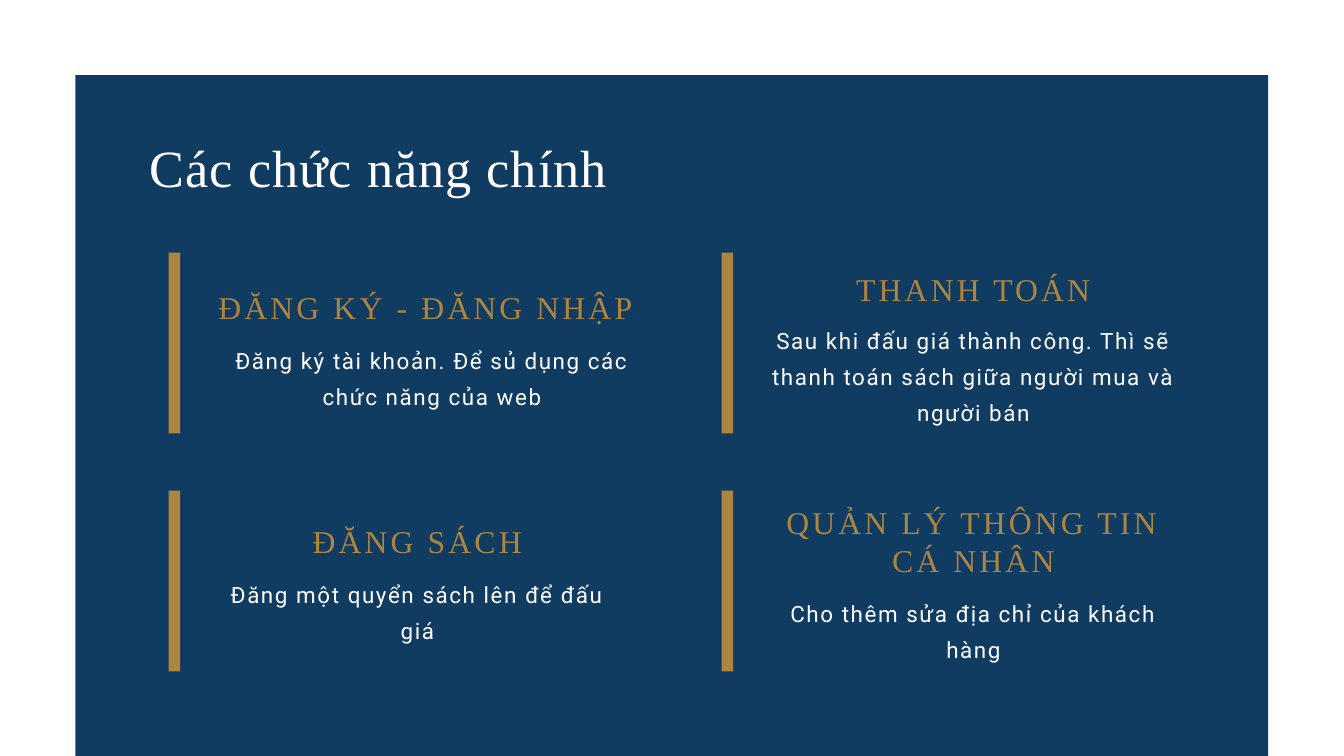
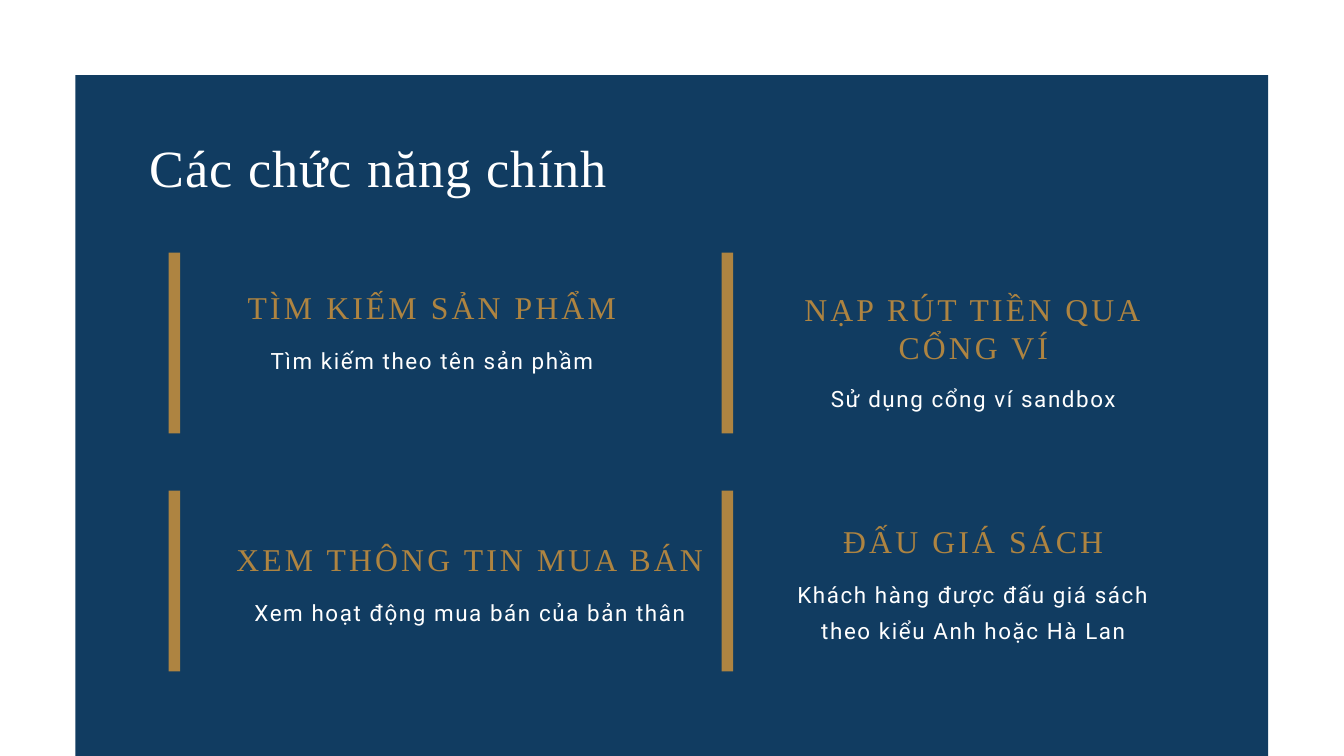
from dataclasses import dataclass

from pptx import Presentation
from pptx import util as u
from pptx.dml.color import RGBColor
from pptx.enum import shapes, text

EMU_PER_PX = 9144  # 100 px to the inch


@dataclass(frozen=True)
class Style:
    font: str
    size: int
    color: str
    tracking: float
    line: float


@dataclass(frozen=True)
class Theme:
    panel: str = "113C61"
    accent: str = "AE8441"
    title: Style = Style("Times New Roman", 56, "FFFFFF", 1.1, 73.4)
    heading: Style = Style("Times New Roman", 34, "AE8441", 3.4, 40.8)
    body: Style = Style("Roboto", 24, "FFFFFF", 1.7, 38.4)


@dataclass(frozen=True)
class Card:
    heading: str
    body: str
    top: int
    width: int = 601
    heading_lines: int = 1
    body_lines: int = 1
    gap: int = 20
    heading_align: text.PP_ALIGN = text.PP_ALIGN.CENTER


THEME = Theme()
TITLE = "Các chức năng chính"
BAR_LEFTS = (251, 1074)
BAR_TOPS = (376, 730)
CARD_LEFTS = (325, 1148)

# Cards run across each row, left to right
SLIDES = (
    (
        Card("ĐĂNG KÝ - ĐĂNG NHẬP",
             "Đăng ký tài khoản. Để sủ dụng các chức năng của web",
             428, 636, body_lines=2, heading_align=text.PP_ALIGN.LEFT),
        Card("THANH TOÁN",
             "Sau khi đấu giá thành công. Thì sẽ thanh toán sách giữa "
             "người mua và người bán", 401, body_lines=3, gap=18),
        Card("ĐĂNG SÁCH", "Đăng một quyển sách lên để đấu giá",
             776, 592, body_lines=2),
        Card("QUẢN LÝ THÔNG TIN CÁ NHÂN",
             "Cho thêm sửa địa chỉ của khách hàng",
             748, heading_lines=2, body_lines=2),
    ),
    (
        Card("TÌM KIẾM SẢN PHẨM", "Tìm kiếm theo tên sản phầm", 428, 636),
        Card("NẠP RÚT TIỀN QUA CỔNG VÍ", "Sử dụng cổng ví sandbox",
             431, heading_lines=2, gap=17),
        Card("XEM THÔNG TIN MUA BÁN", "Xem hoạt động mua bán của bản thân",
             803, 749),
        Card("ĐẤU GIÁ SÁCH",
             "Khách hàng được đấu giá sách theo kiểu Anh hoặc Hà Lan",
             776, body_lines=2),
    ),
)


def px(value: int) -> u.Emu:
    return u.Emu(value * EMU_PER_PX)


def write(sp, content: str, *, style: Style,
          align: text.PP_ALIGN = text.PP_ALIGN.CENTER) -> None:
    tf = sp.text_frame
    tf.margin_left = tf.margin_right = tf.margin_top = tf.margin_bottom = 0
    tf.word_wrap = True
    tf.auto_size = text.MSO_AUTO_SIZE.SHAPE_TO_FIT_TEXT
    tf.vertical_anchor = text.MSO_ANCHOR.TOP
    p = tf.paragraphs[0]
    p.alignment = align
    p.line_spacing = u.Pt(style.line)
    p.space_before = u.Pt(0)
    r = p.add_run()
    r.text = content
    r.font.name = style.font
    r.font.size = u.Pt(style.size)
    r.font.color.rgb = RGBColor.from_string(style.color)
    r.font._element.set("spc", str(round(style.tracking * 100)))


def add_block(s, left: int, top: int, width: int, height: int, color: str):
    sp = s.shapes.add_shape(shapes.MSO_SHAPE.RECTANGLE,
                            px(left), px(top), px(width), px(height))
    sp.shadow.inherit = False
    sp.fill.solid()
    sp.fill.fore_color.rgb = RGBColor.from_string(color)
    sp.line.fill.background()
    return sp


def add_title(s) -> None:
    sp = s.shapes.title
    sp.left, sp.top, sp.width, sp.height = map(px, (223, 192, 1555, 99))
    write(sp, TITLE, style=THEME.title, align=text.PP_ALIGN.LEFT)


def add_card(s, card: Card, left: int) -> None:
    heading_height = 57 * card.heading_lines - 2
    body_height = 54 * card.body_lines - 6
    body_top = card.top + heading_height + card.gap
    group = s.shapes.add_group_shape()
    body = group.shapes.add_textbox(px(left), px(body_top),
                                    px(card.width), px(body_height))
    write(body, card.body, style=THEME.body)
    heading = group.shapes.add_textbox(px(left), px(card.top),
                                       px(card.width), px(heading_height))
    write(heading, card.heading, style=THEME.heading, align=card.heading_align)


def add_functions_slide(prs, cards: tuple[Card, ...]) -> None:
    s = prs.slides.add_slide(prs.slide_layouts.get_by_name("Title Only"))
    # Panel goes behind the title
    panel = add_block(s, 112, 112, 1775, 1047, THEME.panel)
    s.shapes.title.element.addprevious(panel.element)
    add_title(s)
    for i, card in enumerate(cards):
        add_card(s, card, CARD_LEFTS[i % 2])
    # Accent bars
    for top in BAR_TOPS:
        for left in BAR_LEFTS:
            add_block(s, left, top, 17, 269, THEME.accent)


def main() -> None:
    prs = Presentation()
    prs.slide_width, prs.slide_height = px(2000), px(1125)
    for cards in SLIDES:
        add_functions_slide(prs, cards)
    prs.save("out.pptx")


if __name__ == "__main__":
    main()
